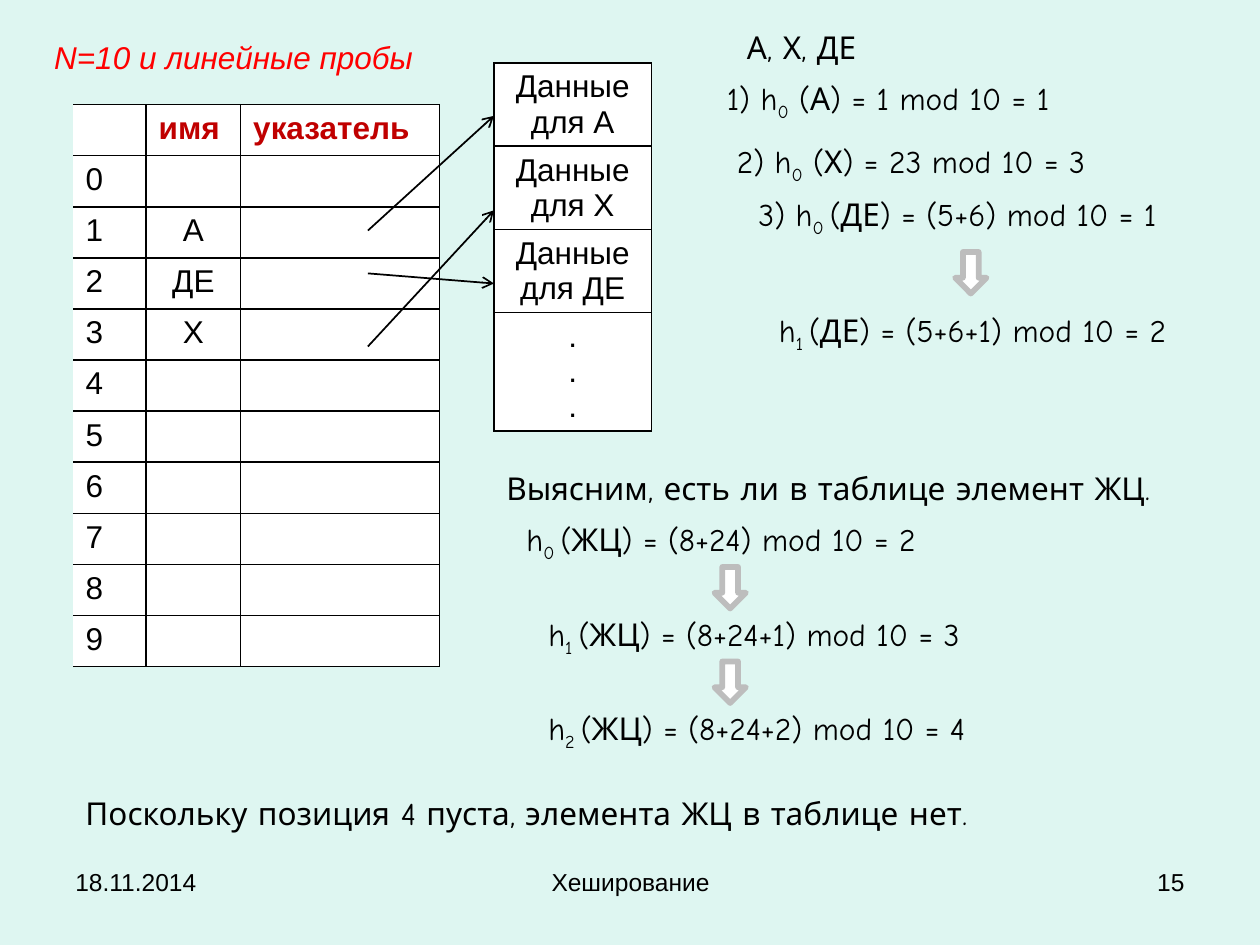
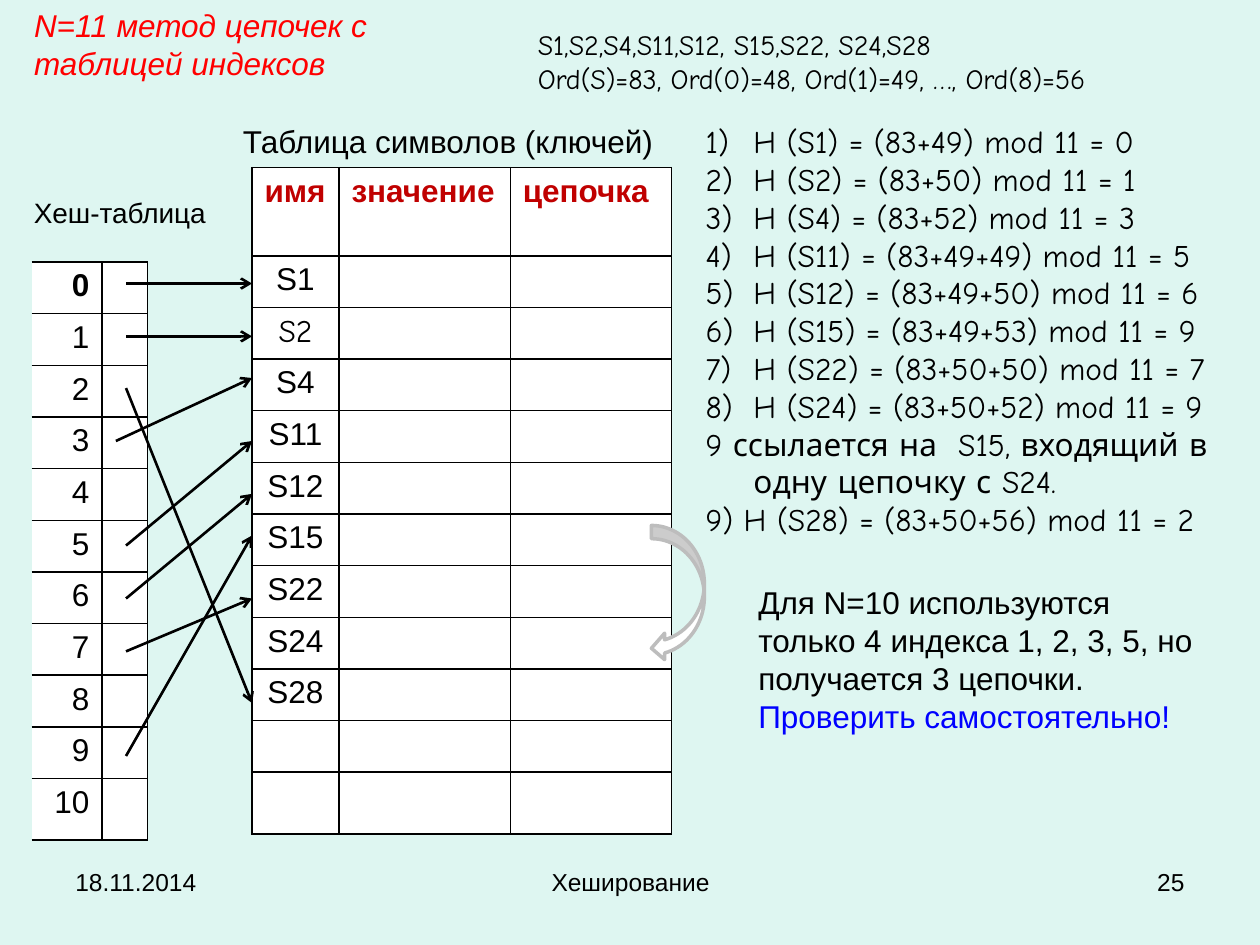
from dataclasses import dataclass, field

from lxml import etree
from pptx import Presentation
from pptx import util as u
from pptx.dml.color import RGBColor
from pptx.enum import shapes, text
from pptx.oxml import ns

COLOURS = {
    "background": "DEF6F1",
    "text": "000000",
    "title": "FF0000",
    "header": "C00000",
    "task": "0000FF",
    "white": "FFFFFF",
    "outline": "BDBDBD",
}
SANS, HAND = "Arial", "Comic Neue"
LEFT, CENTER, RIGHT = text.PP_ALIGN.LEFT, text.PP_ALIGN.CENTER, text.PP_ALIGN.RIGHT
DOWN, CURVED = shapes.MSO_SHAPE.DOWN_ARROW, shapes.MSO_SHAPE.CURVED_LEFT_ARROW
LIST_INDENT = u.Inches(0.38)


@dataclass
class Label:
    content: str
    left: float
    top: float
    width: float
    height: float = 0.4
    style: dict = field(default_factory=dict)


@dataclass
class Grid:
    left: float
    top: float
    widths: list[float]
    heights: list[float]
    rows: list[list[str]]
    aligns: list
    header: dict = field(default_factory=dict)
    open_left: bool = False


@dataclass
class Pointer:
    start: tuple[float, float]
    end: tuple[float, float]


@dataclass
class BlockArrow:
    kind: shapes.MSO_SHAPE
    left: float
    top: float
    width: float = 0.25
    height: float = 0.33
    line: float = 3.25


def colour(name: str) -> RGBColor:
    return RGBColor.from_string(COLOURS[name])


def add_xml(parent, tag: str, **attributes: str):
    return etree.SubElement(parent, ns.qn(tag), attributes)


def write(frame, content: str, *, size=18, font=SANS, ink="text", bold=False,
          italic=False, align=LEFT) -> None:
    """Fill a frame: a line break starts a paragraph, _x_ sets x as a subscript."""
    frame.clear()
    for index, line in enumerate(content.split("\n")):
        paragraph = frame.add_paragraph() if index else frame.paragraphs[0]
        paragraph.alignment = align
        paragraph.space_before = u.Pt(0)
        for position, part in enumerate(line.split("_")):
            if not part:
                continue
            run = paragraph.add_run()
            run.text = part
            run.font.name, run.font.size = font, u.Pt(size)
            run.font.bold, run.font.italic = bold, italic
            run.font.color.rgb = colour(ink)
            if position % 2:
                run.font._element.set("baseline", "-25000")


def fill_frame(shape, label: Label) -> None:
    shape.left, shape.top = u.Inches(label.left), u.Inches(label.top)
    shape.width, shape.height = u.Inches(label.width), u.Inches(label.height)
    frame = shape.text_frame
    frame.word_wrap = True
    frame.auto_size = text.MSO_AUTO_SIZE.NONE
    frame.vertical_anchor = text.MSO_ANCHOR.TOP
    write(frame, label.content, **label.style)


def add_label(slide, label: Label):
    box = slide.shapes.add_textbox(0, 0, 0, 0)
    fill_frame(box, label)
    return box


def set_borders(cell, open_left: bool) -> None:
    properties = cell._tc.get_or_add_tcPr()
    for side in "LRTB":
        border = add_xml(properties, f"a:ln{side}", w=str(u.Pt(1)))
        if side == "L" and open_left:
            add_xml(border, "a:noFill")
        else:
            add_xml(add_xml(border, "a:solidFill"), "a:srgbClr", val=COLOURS["text"])


def add_grid(slide, grid: Grid):
    table = slide.shapes.add_table(
        len(grid.rows), len(grid.widths), u.Inches(grid.left), u.Inches(grid.top),
        u.Inches(sum(grid.widths)), u.Inches(sum(grid.heights))).table
    table.first_row = table.horz_banding = False
    for column, width in zip(table.columns, grid.widths):
        column.width = u.Inches(width)
    for r, (row, height) in enumerate(zip(grid.rows, grid.heights)):
        table.rows[r].height = u.Inches(height)
        for c, content in enumerate(row):
            cell = table.cell(r, c)
            set_borders(cell, grid.open_left and c == 0)
            cell.fill.solid()
            cell.fill.fore_color.rgb = colour("white")
            if content:
                style = {"align": grid.aligns[c]} | (grid.header if r == 0 else {})
                write(cell.text_frame, content, **style)
    return table


def add_pointer(slide, pointer: Pointer, width: float) -> None:
    ends = [u.Inches(value) for value in (*pointer.start, *pointer.end)]
    connector = slide.shapes.add_connector(shapes.MSO_CONNECTOR.STRAIGHT, *ends)
    connector.line.width = u.Pt(width)
    connector.line.color.rgb = colour("text")
    add_xml(connector.line._get_or_add_ln(), "a:tailEnd", type="arrow")
    add_xml(connector._element.spPr, "a:effectLst")


def add_block_arrow(slide, arrow: BlockArrow) -> None:
    shape = slide.shapes.add_shape(
        arrow.kind, u.Inches(arrow.left), u.Inches(arrow.top),
        u.Inches(arrow.width), u.Inches(arrow.height))
    shape.shadow.inherit = False
    shape.fill.solid()
    shape.fill.fore_color.rgb = colour("white")
    shape.line.color.rgb = colour("outline")
    shape.line.width = u.Pt(arrow.line)


def number_list(frame, count: int) -> None:
    """Hang every paragraph and number the first ones."""
    for index, paragraph in enumerate(frame.paragraphs):
        properties = paragraph._p.get_or_add_pPr()
        properties.set("marL", str(LIST_INDENT))
        properties.set("indent", str(-LIST_INDENT))
        if index < count:
            add_xml(properties, "a:buFont", typeface=HAND)
            add_xml(properties, "a:buAutoNum", type="arabicParenR")
        else:
            add_xml(properties, "a:buNone")


def start_slide(prs, layout: int, title: Label, number: int):
    slide = prs.slides.add_slide(prs.slide_layouts[layout])
    title.style = {"ink": "title", "italic": True}
    fill_frame(slide.shapes.title, title)
    for content, left, width, align in (
            ("18.11.2014", 0.5, 2.33, LEFT),
            ("Хеширование", 3.42, 3.17, CENTER),
            (str(number), 7.17, 2.33, RIGHT)):
        style = {"size": 14, "align": align}
        add_label(slide, Label(content, left, 6.83, width, 0.52, style))
    return slide


def build_linear_probing(prs) -> None:
    slide = start_slide(prs, 5, Label("N=10 и линейные пробы", 0.33, 0.25, 3.42), 15)
    names = {1: "А", 2: "ДЕ", 3: "Х"}
    add_grid(slide, Grid(
        0.58, 0.83, [0.58, 0.75, 1.58], [0.38] * 11,
        [["", "имя", "указатель"]] + [[str(i), names.get(i, ""), ""] for i in range(10)],
        [LEFT, CENTER, LEFT], {"ink": "header", "bold": True, "align": LEFT}, True))
    add_grid(slide, Grid(
        3.92, 0.5, [1.25], [0.66] * 3 + [0.94],
        [[f"Данные для {key}"] for key in ("А", "Х", "ДЕ")] + [[".\n.\n."]], [CENTER]))

    for start, end in ((1.83, 0.92), (2.75, 1.67), (2.17, 2.25)):
        add_pointer(slide, Pointer((2.92, start), (3.92, end)), 1)
    for left, top in ((7.58, 2), (5.67, 4.5), (5.67, 5.25)):
        add_block_arrow(slide, BlockArrow(DOWN, left, top))

    for content, left, top, width in (
            ("А, Х, ДЕ", 5.83, 0.17, 1.21),
            ("1) h_0_ (А) = 1 mod 10 = 1", 5.67, 0.58, 3.17),
            ("2) h_0_ (Х) = 23 mod 10 = 3", 5.75, 1.08, 3.17),
            ("3) h_0 _(ДЕ) = (5+6) mod 10 = 1", 5.92, 1.5, 3.58),
            (" h_1 _(ДЕ) = (5+6+1) mod 10 = 2", 6, 2.42, 3.75),
            ("Выясним, есть ли в таблице элемент ЖЦ.", 3.92, 3.67, 5.5),
            ("h_0 _(ЖЦ) = (8+24) mod 10 = 2", 4.08, 4.08, 3.58),
            (" h_1 _(ЖЦ) = (8+24+1) mod 10 = 3", 4.17, 4.83, 3.75),
            (" h_2 _(ЖЦ) = (8+24+2) mod 10 = 4", 4.17, 5.58, 4),
            ("Поскольку позиция 4 пуста, элемента ЖЦ в таблице нет.", 0.58, 6.25, 8.58)):
        add_label(slide, Label(content, left, top, width, style={"font": HAND}))


def build_chaining(prs) -> None:
    slide = start_slide(
        prs, 1, Label("N=11 метод цепочек с таблицей индексов", 0.17, 0, 3.75, 0.71), 25)
    hashes = [
        "H (S1) = (83+49) mod 11 = 0",
        "H (S2) = (83+50) mod 11 = 1",
        "H (S4) = (83+52) mod 11 = 3",
        "H (S11) = (83+49+49) mod 11 = 5",
        "H (S12) = (83+49+50) mod 11 = 6",
        "H (S15) = (83+49+53) mod 11 = 9",
        "H (S22) = (83+50+50) mod 11 = 7",
        "H (S24) = (83+50+52) mod 11 = 9",
    ]
    remarks = ["9 ссылается на  S15, входящий в одну цепочку с S24.",
               "9) H (S28) = (83+50+56) mod 11 = 2"]
    body = slide.placeholders[1]
    fill_frame(body, Label("\n".join(hashes + remarks), 5.5, 0.92, 4.5, 3.74,
                           {"font": HAND}))
    number_list(body.text_frame, len(hashes))

    keys = ["S1", "S2", "S4", "S11", "S12", "S15", "S22", "S24", "S28", "", ""]
    symbols = add_grid(slide, Grid(
        2, 1.33, [0.69, 1.36, 1.28], [0.7] + [0.41] * 10 + [0.49],
        [["имя", "значение", "цепочка"]] + [[key, "", ""] for key in keys],
        [CENTER, LEFT, LEFT], {"ink": "header", "bold": True, "align": LEFT}))
    write(symbols.cell(2, 0).text_frame, "S2", font=HAND, align=CENTER)
    add_grid(slide, Grid(
        0.25, 2.08, [0.56, 0.36], [0.41] * 10 + [0.49],
        [[str(i), ""] for i in range(11)], [RIGHT, LEFT], {"bold": True}, True))

    for left, start, end in (
            (1, 2.25, 2.25), (1, 2.67, 2.67), (0.92, 3.5, 3), (1, 4.33, 3.5),
            (1, 4.75, 3.92), (1, 6, 4.25), (1, 5.17, 4.75), (1, 3.08, 5.58)):
        add_pointer(slide, Pointer((left, start), (2, end)), 1.5)
    add_block_arrow(slide, BlockArrow(CURVED, 5.17, 4.17, 0.42, 1.08, 2))

    add_label(slide, Label(
        "S1,S2,S4,S11,S12, S15,S22, S24,S28\n"
        "Ord(S)=83, Ord(0)=48, Ord(1)=49, …, Ord(8)=56",
        4.17, 0.17, 5.67, 0.64, {"size": 16, "font": HAND}))
    add_label(slide, Label("Хеш-таблица", 0.17, 1.5, 1.67, 0.37, {"size": 16}))
    add_label(slide, Label("Таблица символов (ключей)", 1.83, 0.92, 3.75))
    conclusion = add_label(slide, Label(
        "Для N=10 используются только 4 индекса 1, 2, 3, 5, но получается 3 цепочки.\n"
        "Проверить самостоятельно!", 5.92, 4.58, 3.83, 1.31))
    conclusion.text_frame.paragraphs[1].runs[0].font.color.rgb = colour("task")


def main() -> None:
    prs = Presentation()
    prs.slide_width, prs.slide_height = u.Inches(10), u.Inches(7.5)
    background = prs.slide_master.background.fill
    background.solid()
    background.fore_color.rgb = colour("background")
    build_linear_probing(prs)
    build_chaining(prs)
    prs.save("out.pptx")


if __name__ == "__main__":
    main()
